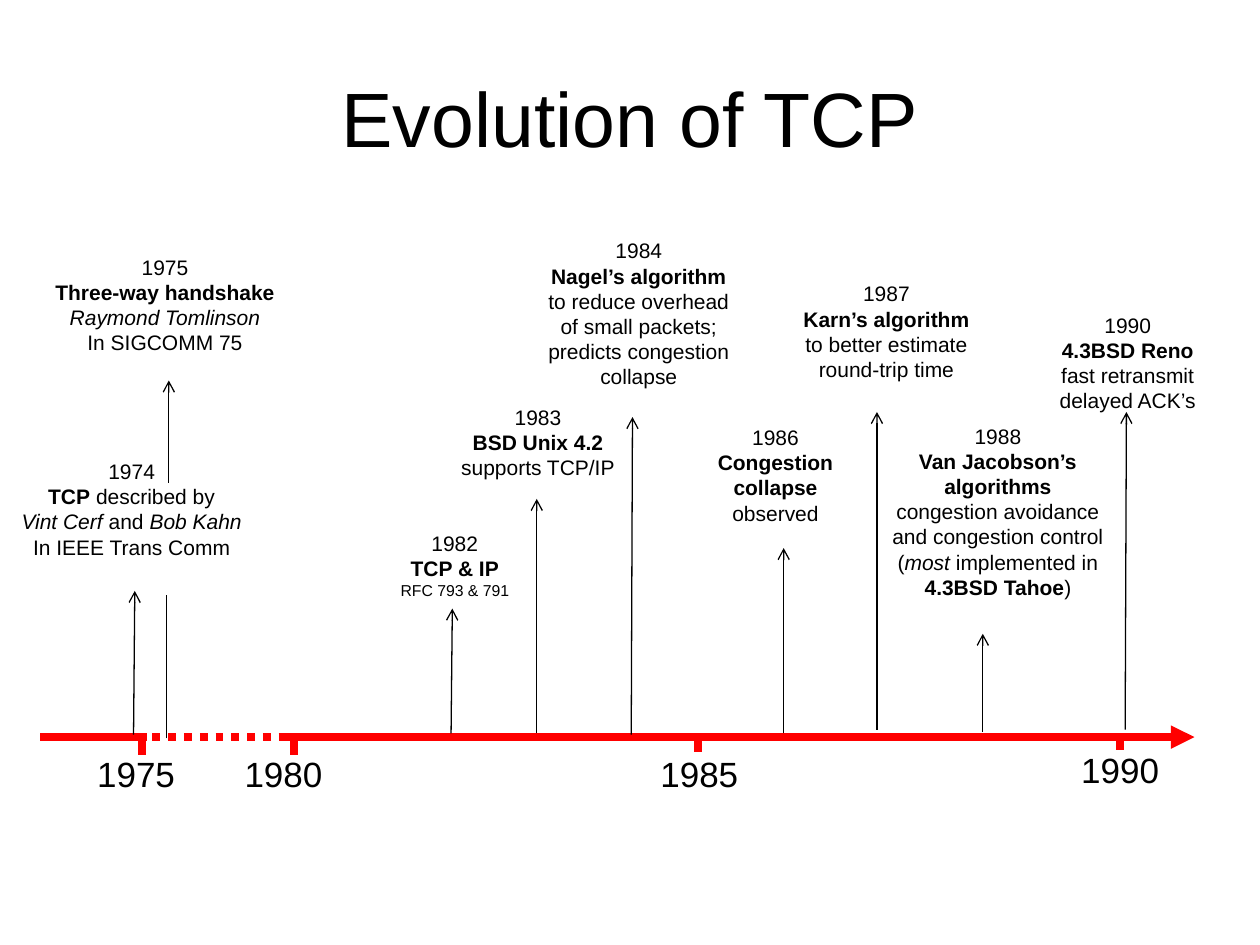
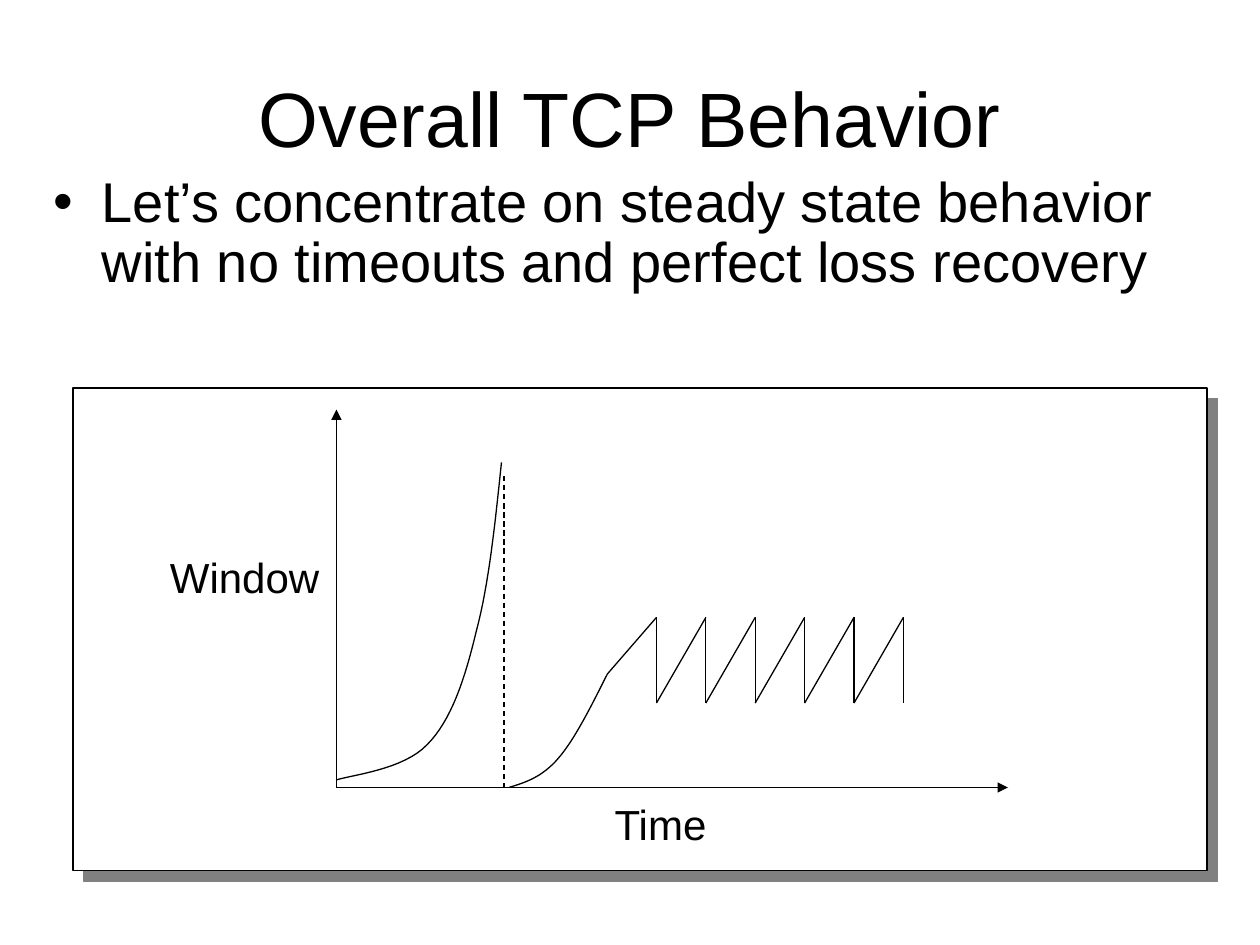
import lxml.etree
import pptx
import pptx.dml.color
import pptx.enum.dml
import pptx.enum.shapes
import pptx.enum.text
import pptx.oxml.ns
import pptx.util

Inches = pptx.util.Inches
qn = pptx.oxml.ns.qn
ALIGN = pptx.enum.text.PP_ALIGN
ANCHOR = pptx.enum.text.MSO_ANCHOR
DASH = pptx.enum.dml.MSO_LINE
COLOURS = {"ink": "000000", "paper": "FFFFFF", "axis": "FF0000", "shadow": "808080"}
RGB = {name: pptx.dml.color.RGBColor.from_string(value) for name, value in COLOURS.items()}
FONT = "Arial"
THIN, THICK = 0.75, 4.5
BOLD, ITALIC, SMALL = {"bold": True}, {"italic": True}, {"size": pptx.util.Pt(9)}
TITLE_AREA = (0.5, 0.3, 9, 1.25)


def add_text(page, area, paragraphs, size, align=ALIGN.CENTER, wrap=False, grow=True):
    """Each paragraph is a list of (text, format values) pairs."""
    box = page.shapes.add_textbox(*map(Inches, area))
    frame = box.text_frame
    frame.word_wrap = wrap
    if grow:
        frame.auto_size = pptx.enum.text.MSO_AUTO_SIZE.SHAPE_TO_FIT_TEXT
    for number, pieces in enumerate(paragraphs):
        para = frame.add_paragraph() if number else frame.paragraphs[0]
        para.alignment = align
        for text, values in pieces:
            span = para.add_run()
            span.text = text
            formats = {"name": FONT, "size": pptx.util.Pt(size), **values}
            for attribute, value in formats.items():
                setattr(span.font, attribute, value)
            span.font.color.rgb = RGB["ink"]
    return box


def add_line(page, start, end, colour="ink", width=THIN, dash=None, arrow=None):
    connector = page.shapes.add_connector(
        pptx.enum.shapes.MSO_CONNECTOR.STRAIGHT, *map(Inches, (*start, *end)))
    connector.line.color.rgb = RGB[colour]
    connector.line.width = pptx.util.Pt(width)
    if dash:
        connector.line.dash_style = dash
    properties = connector.element.spPr
    if arrow:
        lxml.etree.SubElement(properties.find(qn("a:ln")), qn("a:tailEnd"), type=arrow)
    lxml.etree.SubElement(properties, qn("a:effectLst"))


deck = pptx.Presentation()
deck.slide_width, deck.slide_height = Inches(10), Inches(7.5)

# Pages with their titles
pages = {}
for title in ("Evolution of TCP", "Overall TCP Behavior"):
    page = pages[title] = deck.slides.add_slide(deck.slide_layouts[6])
    if title == "Overall TCP Behavior":
        # Shadowed panel behind the graph
        panel = page.shapes.add_shape(pptx.enum.shapes.MSO_SHAPE.RECTANGLE,
                                      *map(Inches, (0.58, 3.08, 9, 3.83)))
        panel.shadow.inherit = False
        panel.fill.solid()
        panel.fill.fore_color.rgb = RGB["paper"]
        panel.line.color.rgb = RGB["ink"]
        panel.line.width = pptx.util.Pt(THIN)
        effects = panel.element.spPr.find(qn("a:effectLst"))
        shadow = lxml.etree.SubElement(effects, qn("a:outerShdw"), blurRad="0",
                                       dist=str(pptx.util.Pt(8.5)), dir="2700000",
                                       algn="ctr", rotWithShape="0")
        lxml.etree.SubElement(shadow, qn("a:srgbClr"), val=COLOURS["shadow"])
    box = add_text(page, TITLE_AREA, [[(title, {})]], 44, wrap=True, grow=False)
    box.text_frame.vertical_anchor = ANCHOR.MIDDLE

# Timeline axis
page = pages["Evolution of TCP"]
axis_y = 5.85
for left, right, dash, arrow in (
    (2.25, 9.48, None, "triangle"),
    (0.32, 1.17, None, None),
    (1.21, 2.32, DASH.ROUND_DOT, None),
):
    add_line(page, (left, axis_y), (right, axis_y), "axis", THICK, dash, arrow)

# Year ticks and labels
for year, tick_x, tick_y, label_x, label_y in (
    ("1975", 1.13, 5.87, 0.67, 5.92),
    ("1980", 2.33, 5.87, 1.84, 5.92),
    ("1985", 5.54, 5.85, 5.14, 5.92),
    ("1990", 8.89, 5.83, 8.48, 5.89),
):
    add_line(page, (tick_x, tick_y), (tick_x, tick_y + 0.12), "axis", THICK)
    add_text(page, (label_x, label_y, 0.82, 0.44), [[(year, {})]], 20)

# Arrows from the axis to the events
for bottom_x, bottom_y, top_x, top_y in (
    (1.06, 5.83, 1.07, 4.69),
    (1.34, 3.83, 1.34, 3.02),
    (3.58, 5.82, 3.59, 4.83),
    (4.26, 5.82, 4.26, 3.96),
    (5.01, 5.83, 5.02, 3.31),
    (6.22, 5.82, 6.22, 4.35),
    (6.96, 5.79, 6.96, 3.27),
    (7.8, 5.81, 7.8, 5.03),
    (8.93, 5.79, 8.94, 3.27),
):
    add_line(page, (bottom_x, bottom_y), (top_x, top_y), arrow="arrow")
add_line(page, (1.32, 5.86), (1.32, 4.72))

# Events: year, area, wrapping, description
for year, area, wrap, description in (
    ("1974", (0.07, 3.59, 1.95, 0.9), False, [
        [("TCP", BOLD), (" described by", {})],
        [("Vint Cerf", ITALIC), (" and ", {}), ("Bob Kahn", ITALIC)],
        [("In IEEE Trans Comm", {})]]),
    ("1975", (0.34, 1.97, 1.94, 0.9), False, [
        [("Three-way handshake", BOLD)],
        [("Raymond Tomlinson", ITALIC)],
        [("In SIGCOMM 75", {})]]),
    ("1982", (3.08, 4.16, 1.06, 0.65), False, [
        [("TCP & IP", BOLD)],
        [("RFC 793 & 791", SMALL)]]),
    ("1983", (3.56, 3.16, 1.42, 0.7), False, [
        [("BSD Unix 4.2", BOLD)],
        [("supports TCP/IP", {})]]),
    ("1984", (4.13, 1.84, 1.88, 1.3), True, [
        [("Nagel’s algorithm", BOLD)],
        [("to reduce overhead", {})],
        [("of small packets;", {})],
        [("predicts congestion collapse", {})]]),
    ("1986", (5.31, 3.32, 1.69, 0.9), True, [
        [("Congestion collapse", BOLD)],
        [("observed", {})]]),
    ("1987", (6.19, 2.18, 1.69, 0.9), True, [
        [("Karn’s algorithm", BOLD)],
        [("to better estimate round-trip time", {})]]),
    ("1988", (6.91, 3.31, 2.02, 1.5), True, [
        [("Van Jacobson’s algorithms", BOLD)],
        [("congestion avoidance and congestion control", {})],
        [("(", {}), ("most", ITALIC), (" implemented in ", {}),
         ("4.3BSD Tahoe", BOLD), (")", {})]]),
    ("1990", (7.94, 2.43, 2.02, 0.9), True, [
        [("4.3BSD Reno", BOLD)],
        [("fast retransmit", {})],
        [("delayed ACK’s", {})]]),
):
    add_text(page, area, [[(year, {})], *description], 12, wrap=wrap)

# Graph axes
page = pages["Overall TCP Behavior"]
origin = (2.67, 6.25)
add_line(page, origin, (8, 6.25), arrow="triangle")
add_line(page, origin, (2.67, 3.25), arrow="triangle")
add_text(page, (4.78, 6.29, 0.96, 0.5), [[("Time", {})]], 24, ALIGN.LEFT)
add_text(page, (1.25, 4.33, 1.45, 0.5), [[("Window", {})]], 24, ALIGN.LEFT)

# Slow-start curves, traced along their cubic Bézier segments
steps = 16
for knots in (
    [(2.67, 6.19), (2.79, 6.15), (3.2, 6.11), (3.39, 5.91), (3.58, 5.72),
     (3.69, 5.39), (3.78, 5.01), (3.88, 4.64), (3.93, 4.15), (3.98, 3.67)],
    [(4.04, 6.25), (4.17, 6.21), (4.3, 6.17), (4.43, 6.02), (4.56, 5.87),
     (4.69, 5.61), (4.82, 5.35)],
):
    points = []
    for first in range(0, len(knots) - 1, 3):
        segment = knots[first:first + 4]
        for step in range(1, steps + 1):
            t = step / steps
            weights = ((1 - t) ** 3, 3 * t * (1 - t) ** 2, 3 * t * t * (1 - t), t ** 3)
            points.append([Inches(sum(w * knot[axis] for w, knot in zip(weights, segment)))
                           for axis in (0, 1)])
    builder = page.shapes.build_freeform(*map(Inches, knots[0]))
    builder.add_line_segments(points, close=False)
    curve = builder.convert_to_shape()
    curve.shadow.inherit = False
    curve.fill.background()
    curve.line.color.rgb = RGB["ink"]
    curve.line.width = pptx.util.Pt(THIN)

# Timeout, then the steady-state sawtooth
add_line(page, (4, 3.78), (4, 6.25), dash=DASH.DASH)
peak_y, trough_y = 4.9, 5.58
peaks = [5.21 + 1.96 * tooth / 5 for tooth in range(6)]
add_line(page, (4.82, 5.35), (peaks[0], peak_y))
for peak_x in peaks:
    add_line(page, (peak_x, peak_y), (peak_x, trough_y))
for trough_x, peak_x in zip(peaks, peaks[1:]):
    add_line(page, (trough_x, trough_y), (peak_x, peak_y))

# Bulleted statement
statement = "Let’s concentrate on steady state behavior with no timeouts and perfect loss recovery"
box = add_text(page, (0.33, 1.33, 9.25, 5.33), [[(statement, {})]], 32,
               ALIGN.LEFT, wrap=True, grow=False)
box.text_frame.paragraphs[0].line_spacing = 0.9
settings = next(box.element.iter(qn("a:pPr")))
settings.set("marL", str(Inches(0.38)))
settings.set("indent", str(Inches(-0.38)))
bullet_colour = lxml.etree.SubElement(settings, qn("a:buClr"))
lxml.etree.SubElement(bullet_colour, qn("a:srgbClr"), val=COLOURS["ink"])
lxml.etree.SubElement(settings, qn("a:buFont"), typeface=FONT)
lxml.etree.SubElement(settings, qn("a:buChar"), char="•")

deck.save("out.pptx")
